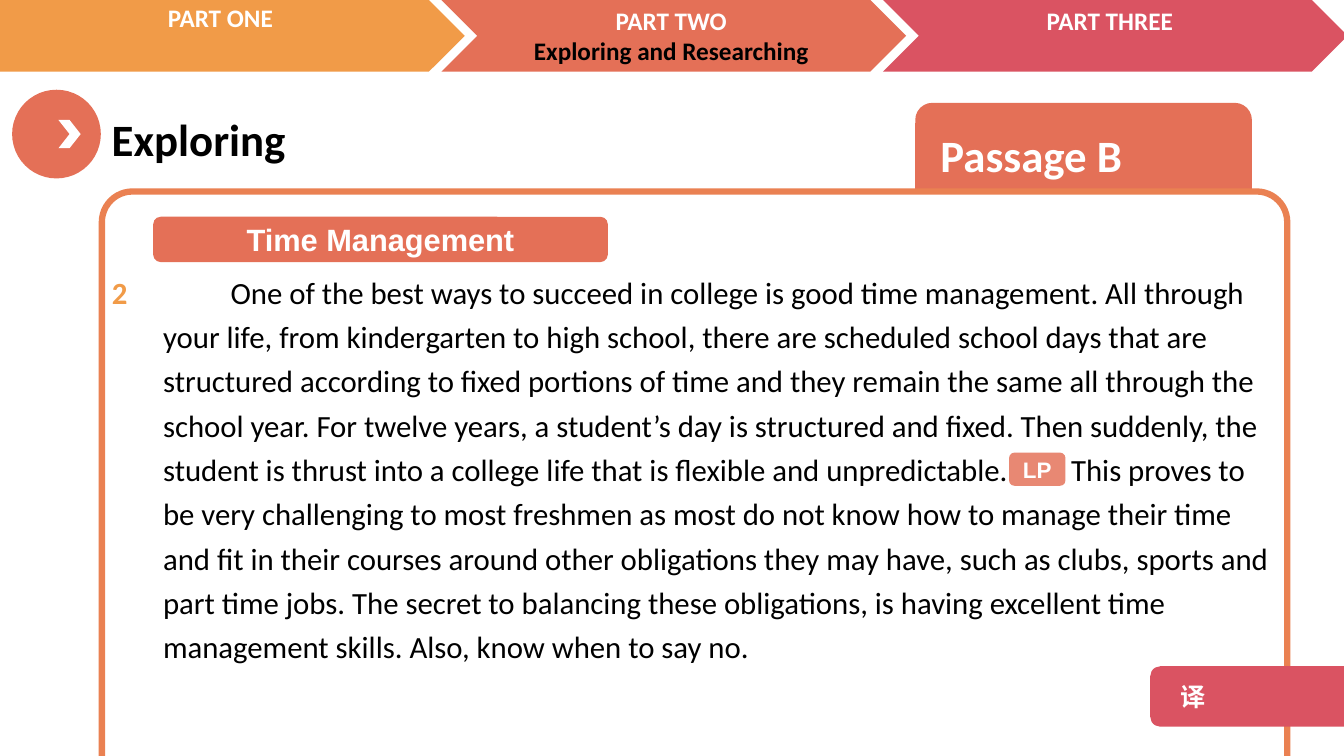
"""Build the Passage B reading slide on a grid of 100 columns by 100 rows."""
from lxml.etree import SubElement
from pptx import Presentation
from pptx.dml.color import RGBColor
from pptx.enum.shapes import MSO_SHAPE
from pptx.enum.text import MSO_ANCHOR, PP_ALIGN
from pptx.oxml.ns import qn
from pptx.util import Inches, Pt

CORAL, ROSE, AMBER, ORANGE = "E47057", "DA5362", "F19B48", "EA8152"
WHITE, BLACK = "FFFFFF", "000000"
LEFT, CENTER = PP_ALIGN.LEFT, PP_ALIGN.CENTER

deck = Presentation()
deck.slide_width, deck.slide_height = Inches(13.33), Inches(7.5)
column, row = deck.slide_width / 100, deck.slide_height / 100
slide = deck.slides.add_slide(deck.slide_layouts[6])


def place(box, preset=None, fill=None):
    """Add a filled preset shape, or a text box when no preset is given."""
    left, top, width, height = box
    area = [int(left * column), int(top * row), int(width * column), int(height * row)]
    if preset is None:
        return slide.shapes.add_textbox(*area)
    part = slide.shapes.add_shape(preset, *area)
    part.shadow.inherit = False
    part.fill.solid()
    part.fill.fore_color.rgb = RGBColor.from_string(fill)
    part.line.fill.background()
    return part


def write(part, lines, size, align=LEFT, bold=True, face="Calibri", **frame_format):
    """Write (text, colour) lines as paragraphs, with a new run after each bar."""
    frame = part.text_frame
    for name, value in {"word_wrap": True, **frame_format}.items():
        setattr(frame, name, value)
    for index, (text, colour) in enumerate(lines):
        paragraph = frame.add_paragraph() if index else frame.paragraphs[0]
        paragraph.alignment = align
        for piece in text.split("|"):
            run = paragraph.add_run()
            run.text = piece
            for name, value in {"size": Pt(size), "bold": bold, "name": face}.items():
                setattr(run.font, name, value)
            run.font.color.rgb = RGBColor.from_string(colour)
    return frame.paragraphs[0]


place((0.9, 11.87, 6.6, 11.73), MSO_SHAPE.OVAL, CORAL)
place((4.35, 15.87, 1.65, 3.73), MSO_SHAPE.CHEVRON, WHITE)
write(place((7.58, 14.13, 36.38, 8.53)), [("Exploring", BLACK)], 32)
write(place((68.1, 13.6, 25.05, 13.6), MSO_SHAPE.ROUNDED_RECTANGLE, CORAL),
      [("Passage B", WHITE)], 32, vertical_anchor=MSO_ANCHOR.MIDDLE, margin_left=Inches(0.2))

step_pitch, step_width, step_height = 32.85, 34.58, 9.47
steps = [
    (AMBER, 4.58, -0.7, -0.4, [("PART ONE", WHITE)]),
    (CORAL, 0, 0, 0, [("PART TWO", WHITE), ("Exploring and Researching", BLACK)]),
    (ROSE, 0, -0.22, 0, [("PART THREE", WHITE)]),
]
for index, (colour, overhang, shift, label_top, label) in enumerate(steps):
    left = index * step_pitch
    place((left - overhang, 0, step_width + overhang, step_height), MSO_SHAPE.CHEVRON, colour)
    write(place((left + shift, label_top, 34.2, step_height)), label, 18, CENTER)

page = place((7.58, 25.33, 88.2, 86), MSO_SHAPE.ROUNDED_RECTANGLE, WHITE)
page.adjustments[0] = 0.047
page.line.color.rgb = RGBColor.from_string(ORANGE)
page.line.width = Pt(4.5)

passage = (
    "One of the best ways to succeed in college is good time management. All through your life, "
    "from kindergarten to high school, there are scheduled school days that are structured "
    "according to fixed portions of time and they remain the same all through the school year. "
    "For twelve years, a student’s day is structured and fixed. Then suddenly, the student is "
    "thrust into a college life that is flexible and unpredictable.| |This proves to be very "
    "challenging to most freshmen as most do not know how to manage their time and fit in their "
    "courses around other obligations they may have, such as clubs, sports and part time jobs. "
    "The secret to balancing these obligations, is having excellent time management skills. "
    "Also, know when to say no."
)
body = write(place((11.4, 34.55, 84.38, 54.5)), [(passage, BLACK)], 22, bold=False)
number = write(place((7.58, 34.6, 3.82, 60.5)), [("2", AMBER)], 22)
for paragraph in (body, number):
    paragraph.line_spacing = 1.2
body_format = body._p.get_or_add_pPr()
body_format.set("marL", "0")
body_format.set("indent", str(Inches(0.67)))
badge_gap = body.runs[1]
badge_gap.font._element.set("spc", "4000")

translate = write(place((85.58, 88.13, 15.98, 8), MSO_SHAPE.ROUNDED_RECTANGLE, ROSE),
                  [("译", WHITE)], 18, face="Noto Sans CJK SC",
                  vertical_anchor=MSO_ANCHOR.MIDDLE, margin_left=Inches(0.27))
SubElement(translate.runs[0].font._element, qn("a:ea"), typeface="Noto Sans CJK SC")

badges = [
    ((11.4, 28.67, 33.83, 6), "Time Management", 22, 100),
    ((75.08, 59.87, 4.2, 4.4), "LP", 16, 83),
]
for box, text, size, opacity in badges:
    badge = place(box, MSO_SHAPE.ROUNDED_RECTANGLE, CORAL)
    write(badge, [(text, WHITE)], size, CENTER, face="Arial", vertical_anchor=MSO_ANCHOR.MIDDLE)
    if opacity < 100:
        tint = badge._element.spPr.find(qn("a:solidFill"))[0]
        SubElement(tint, qn("a:alpha"), val=str(opacity * 1000))

deck.save("out.pptx")
